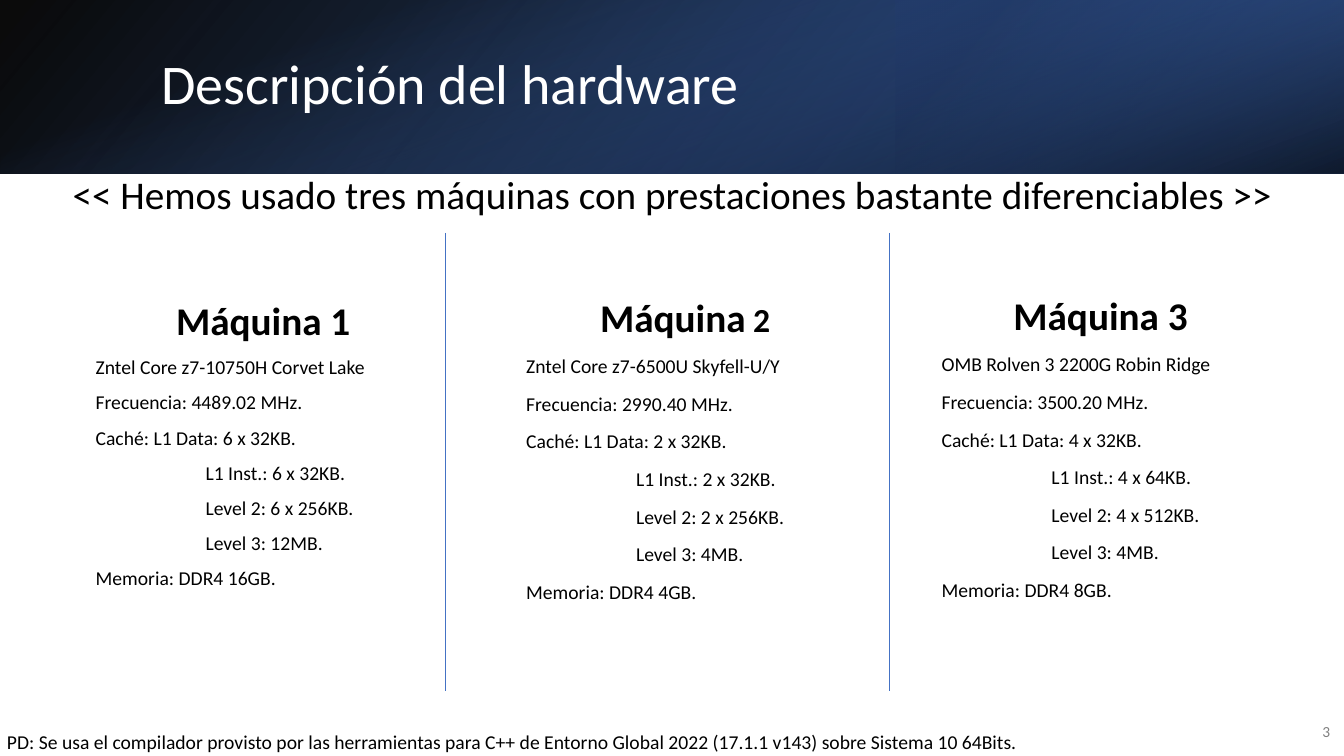
from lxml.etree import SubElement
from pptx import Presentation
from pptx.dml.color import RGBColor
from pptx.enum.shapes import MSO_CONNECTOR, MSO_SHAPE
from pptx.enum.text import MSO_ANCHOR, PP_ALIGN
from pptx.oxml import parse_xml
from pptx.oxml.ns import nsdecls, qn
from pptx.util import Inches, Pt

WIDE, HIGH = 13.33, 7.5
HEAD = 1.72
STEP = WIDE * 0.331
FONT = "Calibri"
BLACK = RGBColor(0x00, 0x00, 0x00)
WHITE = RGBColor(0xFF, 0xFF, 0xFF)
GRAY = RGBColor(0x80, 0x80, 0x80)
BLUE = RGBColor(0x44, 0x72, 0xC4)
DEEP = RGBColor(0x2F, 0x55, 0x97)
NAVY = RGBColor(0x20, 0x38, 0x64)

# box, stops (place, colour, opacity), angle, turn, flipped
BANDS = [
    ((0, 0, WIDE, HEAD), [(0, BLACK, 96), (100, DEEP, 100)], 140, 0, True),
    ((WIDE * 2 / 3, 0, WIDE / 3, HEAD),
     [(19, NAVY, 68), (100, BLUE, 79)], 320, 180, True),
    (((WIDE - HEAD) / 2, (HEAD - WIDE) / 2, HEAD, WIDE),
     [(23, BLUE, 0), (99, BLACK, 74)], 340, 90, False),
]

# box, line spacing, heading runs, chip, clock, caches, memory
HOSTS = [
    ((0.85, 2.94, 3.52, 3.22), 0.9, [("Máquina 1", 28)],
     "Zntel Core z7-10750H Corvet Lake", "4489.02",
     ("6 x 32KB", "6 x 32KB", "6 x 256KB", "12MB"), "16GB"),
    ((5.12, 2.86, 3.35, 3.22), 1.0, [("Máquina", 28), (" 2", 24)],
     "Zntel Core z7-6500U Skyfell-U/Y", "2990.40",
     ("2 x 32KB", "2 x 32KB", "2 x 256KB", "4MB"), "4GB"),
    ((9.24, 2.84, 3.35, 3.22), 1.0, [("Máquina 3", 28)],
     "OMB Rolven 3 2200G Robin Ridge", "3500.20",
     ("4 x 32KB", "4 x 64KB", "4 x 512KB", "4MB"), "8GB"),
]


def place(box):
    return [Inches(side) for side in box]


def style(run, size, color=BLACK, bold=False):
    run.font.name = FONT
    run.font.size = Pt(size)
    run.font.bold = bold
    run.font.color.rgb = color


def add_band(slide, box, stops, angle, turn, flip):
    band = slide.shapes.add_shape(MSO_SHAPE.RECTANGLE, *place(box))
    band.shadow.inherit = False
    band.line.fill.background()
    band.rotation = turn
    props = band.element.spPr
    if flip:
        props.find(qn("a:xfrm")).set("flipH", "1")
    marks = "".join(
        f'<a:gs pos="{spot * 1000}"><a:srgbClr val="{color}">'
        f'<a:alpha val="{alpha * 1000}"/></a:srgbClr></a:gs>'
        for spot, color, alpha in stops)
    fill = parse_xml(
        f'<a:gradFill {nsdecls("a")}><a:gsLst>{marks}</a:gsLst>'
        f'<a:lin ang="{angle * 60000}" scaled="0"/></a:gradFill>')
    props.find(qn("a:prstGeom")).addnext(fill)


def add_frame(slide, box):
    frame = slide.shapes.add_textbox(*place(box)).text_frame
    frame.word_wrap = True
    return frame


def add_label(slide, box, text, size, color=BLACK, align=PP_ALIGN.LEFT,
              anchor=MSO_ANCHOR.TOP, space=1.0):
    frame = add_frame(slide, box)
    frame.text = text
    frame.vertical_anchor = anchor
    line = frame.paragraphs[0]
    line.alignment = align
    line.line_spacing = space
    style(line.runs[0], size, color)


def add_host(slide, box, space, head, chip, clock, cache, memory):
    frame = add_frame(slide, box)
    title = frame.paragraphs[0]
    title.alignment = PP_ALIGN.CENTER
    title.line_spacing = space
    for text, size in head:
        run = title.add_run()
        run.text = text
        style(run, size, bold=True)
    data, inst, second, third = cache
    rows = [
        (chip, 0), (f"Frecuencia: {clock} MHz.", 0),
        (f"Caché: L1 Data: {data}.", 0), (f"L1 Inst.: {inst}.", 1.09),
        (f"Level 2: {second}.", 1.09), (f"Level 3: {third}.", 1.09),
        (f"Memoria: DDR4 {memory}.", 0),
    ]
    for text, indent in rows:
        line = frame.add_paragraph()
        line.text = text
        line.line_spacing = space
        line.space_before = Pt(10)
        line._p.get_or_add_pPr().set("marL", str(Inches(indent)))
        style(line.runs[0], 14)


def add_rule(slide, left):
    rule = slide.shapes.add_connector(
        MSO_CONNECTOR.STRAIGHT, *place((left, 2.31, left, 6.86)))
    rule.line.color.rgb = BLUE
    rule.line.width = Pt(0.5)
    SubElement(rule.element.spPr, qn("a:effectLst"))


def set_title(slide, text):
    title = slide.shapes.title
    title.left, title.top, title.width, title.height = place(
        (1.5, 0.38, 10.98, 0.96))
    title.text_frame.text = text
    title.text_frame.vertical_anchor = MSO_ANCHOR.MIDDLE
    line = title.text_frame.paragraphs[0]
    line.alignment = PP_ALIGN.LEFT
    line.line_spacing = 0.9
    style(line.runs[0], 40, WHITE)
    title.element.getparent().append(title.element)  # in front of the bands


def main():
    deck = Presentation()
    deck.slide_width, deck.slide_height = place((WIDE, HIGH))
    slide = deck.slides.add_slide(deck.slide_layouts[5])
    for band in BANDS:
        add_band(slide, *band)
    set_title(slide, "Descripción del hardware")
    add_label(slide, (12.8, 7.06, 0.49, 0.4), "3", 11, GRAY,
              PP_ALIGN.RIGHT, MSO_ANCHOR.MIDDLE)
    add_label(slide, (0.52, 1.77, 12.29, 0.4),
              "<< Hemos usado tres máquinas con prestaciones bastante "
              "diferenciables >>", 28, align=PP_ALIGN.CENTER, space=0.7)
    for host in HOSTS:
        add_host(slide, *host)
    for count in (1, 2):
        add_rule(slide, STEP * count)
    add_label(slide, (-0.03, 7.19, 13.39, 0.34),
              "PD: Se usa el compilador provisto por las herramientas para "
              "C++ de Entorno Global 2022 (17.1.1 v143) sobre Sistema 10 "
              "64Bits.", 14)
    deck.save("out.pptx")


if __name__ == "__main__":
    main()
